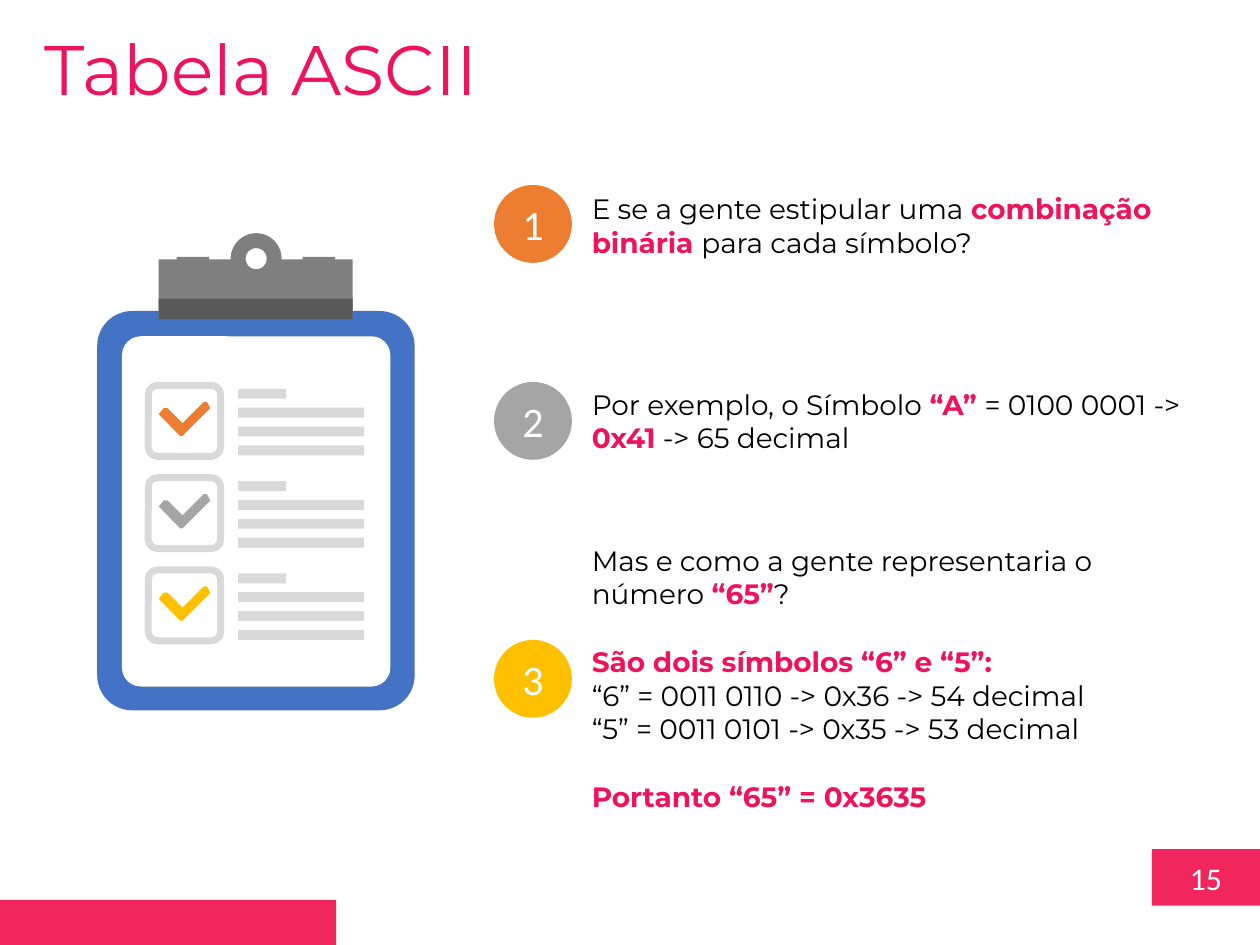
from dataclasses import dataclass

from pptx import Presentation
from pptx.dml.color import RGBColor
from pptx.enum.shapes import MSO_SHAPE as SHAPE
from pptx.enum.text import MSO_ANCHOR as ANCHOR, PP_ALIGN as ALIGN
from pptx.util import Cm, Pt


@dataclass(frozen=True)
class Theme:
    pink: str = "ED145B"
    bar: str = "F0265D"
    blue: str = "4472C4"
    orange: str = "ED7D31"
    silver: str = "A5A5A5"
    yellow: str = "FFC000"
    clip: str = "7F7F7F"
    clip_dark: str = "595959"
    light: str = "D9D9D9"
    white: str = "FFFFFF"
    black: str = "000000"
    text_font: str = "Montserrat"
    number_font: str = "Calibri"
    title_size: int = 40
    number_size: int = 24
    page_size: int = 18
    body_size: int = 16
    gap: float = 19.5


T = Theme()
ROW_COLORS = (T.orange, T.silver, T.yellow)
TICK = [(1.04, 0.13), (0.97, 0), (0.91, 0), (0.48, 0.43), (0.18, 0.13),
        (0.1, 0.13), (0, 0.25), (0.43, 0.69), (0.48, 0.69)]


def paint(sp, fill=None, line=None, weight=1):
    sp.shadow.inherit = False
    if fill:
        sp.fill.solid()
        sp.fill.fore_color.rgb = RGBColor.from_string(fill)
    else:
        sp.fill.background()
    if line:
        sp.line.color.rgb = RGBColor.from_string(line)
        sp.line.width = Pt(weight)
    else:
        sp.line.fill.background()
    return sp


def add_block(shapes, kind, box, fill=None, radius=None, **outline):
    sp = shapes.add_shape(kind, *map(Cm, box))
    if radius is not None:
        sp.adjustments[0] = radius
    return paint(sp, fill, **outline)


def add_run(p, text, font=T.text_font, size=T.body_size, color=T.black, bold=False):
    r = p.add_run()
    r.text = text
    r.font.name = font
    r.font.size = Pt(size)
    r.font.bold = bold
    r.font.color.rgb = RGBColor.from_string(color)


def add_label(sp, text, size):
    tf = sp.text_frame
    tf.vertical_anchor = ANCHOR.MIDDLE
    p = tf.paragraphs[0]
    p.alignment = ALIGN.CENTER
    add_run(p, text, font=T.number_font, size=size, color=T.white)


def add_title(s, text):
    sp = s.shapes.title
    sp.left, sp.top, sp.width, sp.height = map(Cm, (0.64, 0.38, 17.58, 1.96))
    sp.text_frame.vertical_anchor = ANCHOR.TOP
    p = sp.text_frame.paragraphs[0]
    p.alignment = ALIGN.LEFT
    add_run(p, text, size=T.title_size, color=T.pink)


def add_footer(s, number):
    page = add_block(s.shapes, SHAPE.RECTANGLE, (23.22, 17.12, 2.18, 1.14), T.bar)
    add_label(page, number, T.page_size)
    add_block(s.shapes, SHAPE.RECTANGLE, (0, 18.14, 6.78, 0.91), T.bar)


def add_tick(shapes, left, top, color):
    points = [(Cm(left + x), Cm(top + y)) for x, y in TICK]
    builder = shapes.build_freeform(*points[0])
    builder.add_line_segments(points[1:], close=True)
    paint(builder.convert_to_shape(), color)


def add_checklist_row(shapes, top, color):
    add_block(shapes, SHAPE.ROUNDED_RECTANGLE, (2.99, top + 0.07, 1.46, 1.43),
              radius=0.13, line=T.light, weight=4)
    for i, width in enumerate((0.97, 2.54, 2.54, 2.54)):
        add_block(shapes, SHAPE.RECTANGLE, (4.8, top + 0.14 + 0.38 * i, width, 0.2), T.light)
    add_tick(shapes, 3.2, top + 0.4, color)


def add_clipboard(s):
    shapes = s.shapes.add_group_shape().shapes
    add_block(shapes, SHAPE.ROUNDED_RECTANGLE, (1.96, 6.27, 6.4, 8.05), T.blue, radius=0.11)
    add_block(shapes, SHAPE.ROUNDED_RECTANGLE, (2.46, 6.78, 5.41, 7.06), T.white, radius=0.07)
    add_block(shapes, SHAPE.RECTANGLE, (3.2, 5.23, 3.91, 1.19), T.clip)
    add_block(shapes, SHAPE.RECTANGLE, (3.2, 6.02, 3.91, 0.41), T.clip_dark)
    for left in (3.56, 6.1):
        add_block(shapes, SHAPE.RECTANGLE, (left, 5.18, 0.66, 0.17), T.clip)
    add_block(shapes, SHAPE.OVAL, (4.8, 4.85, 0.73, 0.73), T.white, line=T.clip, weight=8.5)
    for i, color in enumerate(ROW_COLORS):
        add_checklist_row(shapes, 7.7 + 1.86 * i, color)


def add_number(s, number, top, color):
    sp = add_block(s.shapes, SHAPE.OVAL, (9.96, top, 1.57, 1.57), color)
    tf = sp.text_frame
    tf.margin_left = tf.margin_right = Cm(0.18)
    tf.margin_top = tf.margin_bottom = Cm(0.1)
    add_label(sp, str(number), T.number_size)


def add_text(s, top, height, groups):
    tf = s.shapes.add_textbox(Cm(11.68), Cm(top), Cm(12.5), Cm(height)).text_frame
    tf.word_wrap = True
    tf.vertical_anchor = ANCHOR.MIDDLE
    p = None
    for group in groups:
        for i, runs in enumerate(group):
            spaced = p is not None and i == 0
            p = tf.paragraphs[0] if p is None else tf.add_paragraph()
            if spaced:
                p.space_before = Pt(T.gap)
            for text, strong in runs:
                add_run(p, text, color=T.pink if strong else T.black, bold=strong)


def main():
    prs = Presentation()
    prs.slide_width, prs.slide_height = Cm(25.4), Cm(19.05)
    s = prs.slides.add_slide(prs.slide_layouts[5])
    add_footer(s, "15")
    add_title(s, "Tabela ASCII")
    add_clipboard(s)

    question = [[[("E se a gente estipular uma ", False), ("combinação binária ", True),
                  ("para cada símbolo?", False)]]]
    example = [[[("Por exemplo, o Símbolo ", False), ("“A” ", True),
                 ("= 0100 0001 -> ", False), ("0x41", True), (" -> 65 decimal", False)]]]
    number_case = [
        [[("Mas e como a gente representaria o número ", False), ("“65”", True), ("?", False)]],
        [[("São dois símbolos “6” e “5”:", True)],
         [("“6” = 0011 0110 -> 0x36 -> 54 decimal", False)],
         [("“5” = 0011 0101 -> 0x35 -> 53 decimal", False)]],
        [[("Portanto “65” = 0x3635", True)]],
    ]
    steps = [(3.73, 3.73, 1.63, question),
             (7.7, 7.67, 1.63, example),
             (12.9, 11.15, 5.05, number_case)]
    for i, (circle_top, text_top, height, groups) in enumerate(steps):
        add_number(s, i + 1, circle_top, ROW_COLORS[i])
        add_text(s, text_top, height, groups)
    prs.save("out.pptx")


if __name__ == "__main__":
    main()
